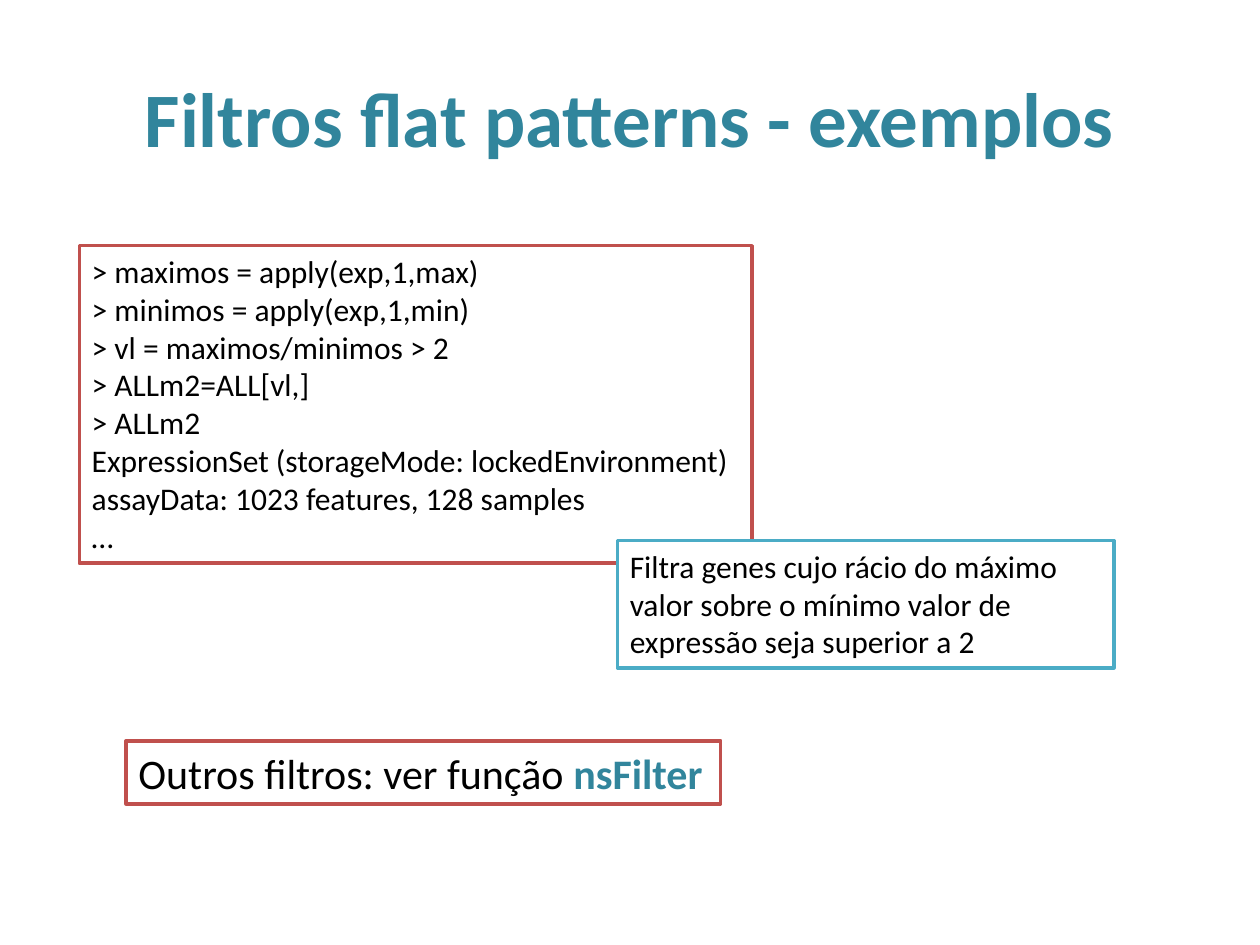
from dataclasses import dataclass

from pptx import Presentation
from pptx.dml.color import RGBColor
from pptx.enum.shapes import MSO_SHAPE as Preset
from pptx.enum.text import MSO_ANCHOR as Anchor
from pptx.enum.text import MSO_AUTO_SIZE as AutoSize
from pptx.enum.text import PP_ALIGN as Align
from pptx.util import Pt

BLACK = RGBColor(0x00, 0x00, 0x00)
WHITE = RGBColor(0xFF, 0xFF, 0xFF)
TEAL = RGBColor(0x31, 0x85, 0x9C)
RED = RGBColor(0xC0, 0x50, 0x4D)
AQUA = RGBColor(0x4B, 0xAC, 0xC6)

FONT = "Calibri"
TITLE_ONLY = 5


@dataclass(frozen=True)
class Span:
    text: str
    color: RGBColor = BLACK
    bold: bool = False


@dataclass(frozen=True)
class FramedBox:
    """A bordered text box; its place is in points, each line is one paragraph."""
    left: float
    top: float
    width: float
    height: float
    border: RGBColor
    size: float
    lines: tuple[tuple[Span, ...], ...]
    wrap: bool = False


CODE = (
    "> maximos = apply(exp,1,max)",
    "> minimos = apply(exp,1,min)",
    "> vl = maximos/minimos > 2",
    "> ALLm2=ALL[vl,]",
    "> ALLm2",
    "ExpressionSet (storageMode: lockedEnvironment)",
    "assayData: 1023 features, 128 samples",
    "…",
)
EXPLANATION = ("Filtra genes cujo rácio do máximo valor sobre o mínimo "
               "valor de expressão seja superior a 2")

BOXES = (
    FramedBox(45.36, 140.4, 384.5, 181.44, RED, 18,
              tuple((Span(line),) for line in CODE)),
    FramedBox(352.8, 308.88, 283.68, 72.72, AQUA, 18,
              ((Span(EXPLANATION),),), wrap=True),
    FramedBox(72, 423.36, 339.84, 36, RED, 24,
              ((Span("Outros filtros: ver função "),
                Span("nsFilter", TEAL, True)),)),
)


def add_text(para, text: str, *, size: float, color: RGBColor = BLACK,
             bold: bool = False, align: Align = Align.LEFT) -> None:
    para.alignment = align
    run = para.add_run()
    run.text = text
    run.font.name = FONT
    run.font.size = Pt(size)
    run.font.bold = bold
    run.font.color.rgb = color


def place_title(page, text: str) -> None:
    title = page.shapes.title
    title.left, title.top = Pt(36), Pt(21.6)
    title.width, title.height = Pt(648), Pt(90)
    title.text_frame.vertical_anchor = Anchor.MIDDLE
    add_text(title.text_frame.paragraphs[0], text, size=44, color=TEAL,
             bold=True, align=Align.CENTER)


def draw_box(page, box: FramedBox) -> None:
    shape = page.shapes.add_shape(Preset.RECTANGLE, Pt(box.left), Pt(box.top),
                                  Pt(box.width), Pt(box.height))
    shape.shadow.inherit = False
    shape.fill.solid()
    shape.fill.fore_color.rgb = WHITE
    shape.line.color.rgb = box.border
    shape.line.width = Pt(2)

    frame = shape.text_frame
    frame.word_wrap = box.wrap
    frame.auto_size = AutoSize.SHAPE_TO_FIT_TEXT
    frame.vertical_anchor = Anchor.TOP
    for index, line in enumerate(box.lines):
        para = frame.add_paragraph() if index else frame.paragraphs[0]
        for span in line:
            add_text(para, span.text, size=box.size, color=span.color,
                     bold=span.bold)


def main() -> None:
    deck = Presentation()
    deck.slide_width, deck.slide_height = Pt(720), Pt(540)
    page = deck.slides.add_slide(deck.slide_layouts[TITLE_ONLY])
    place_title(page, "Filtros flat patterns - exemplos")
    for box in BOXES:
        draw_box(page, box)
    deck.save("out.pptx")


if __name__ == "__main__":
    main()
